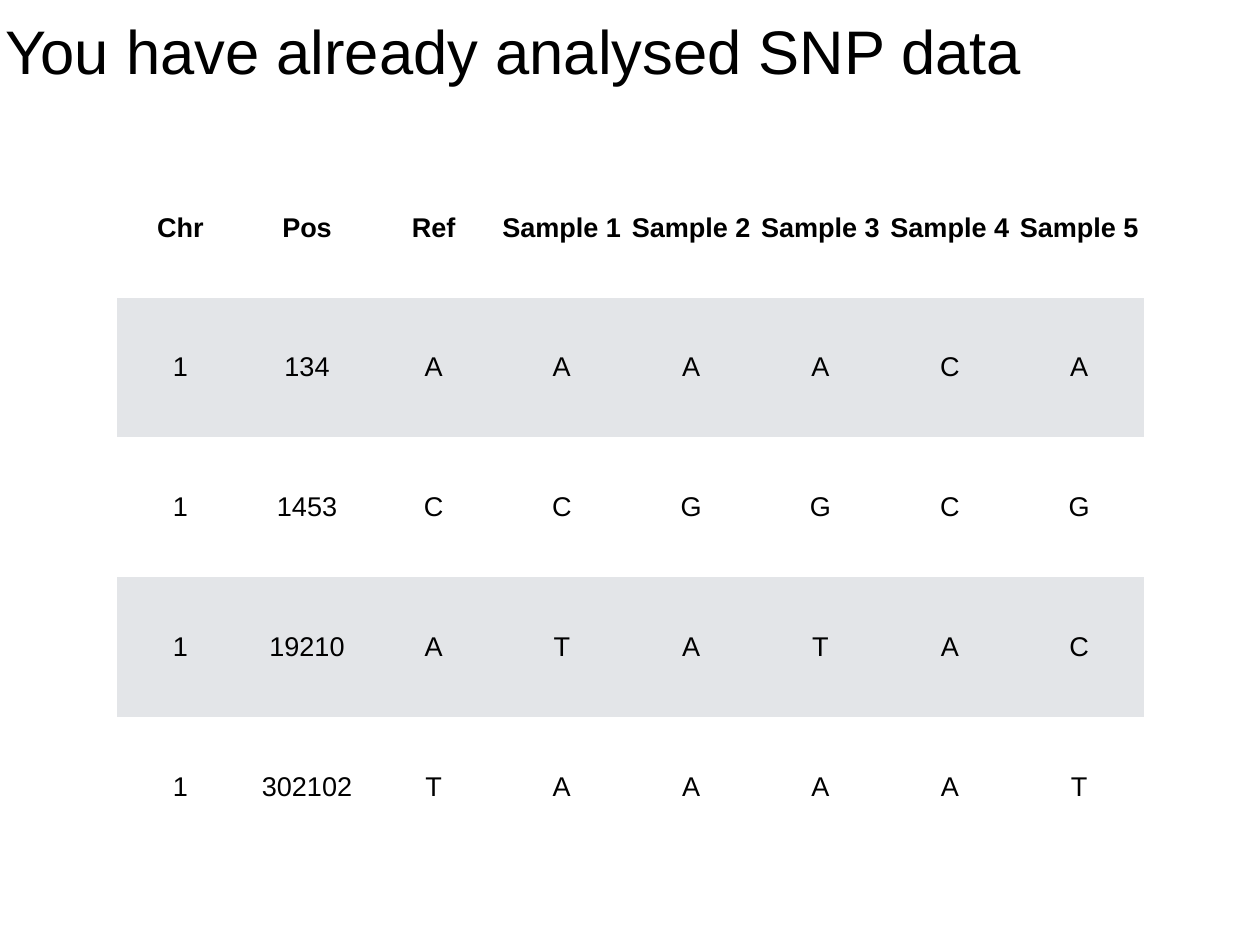
from dataclasses import dataclass

from pptx import Presentation
from pptx import util as u
from pptx.dml.color import RGBColor
from pptx.enum import text
from pptx.oxml import ns
from pptx.slide import Slide
from pptx.table import _Cell as Cell
from pptx.text.text import TextFrame

BLACK = RGBColor(0x00, 0x00, 0x00)
WHITE = RGBColor(0xFF, 0xFF, 0xFF)
GREY = RGBColor(0xE3, 0xE5, 0xE8)
PLAIN = "{2D5ABB26-0587-4C30-8999-92F81FD0307C}"
FONT = "Arial"
INSET = u.Inches(0.06)


@dataclass(frozen=True)
class Row:
    items: tuple[str, ...]
    fill: RGBColor = WHITE
    bold: bool = False


ROWS = (
    Row(("Chr", "Pos", "Ref", *(f"Sample {n}" for n in range(1, 6))), bold=True),
    Row(("1", "134", "A", "A", "A", "A", "C", "A"), GREY),
    Row(("1", "1453", "C", "C", "G", "G", "C", "G")),
    Row(("1", "19210", "A", "T", "A", "T", "A", "C"), GREY),
    Row(("1", "302102", "T", "A", "A", "A", "A", "T")),
)
WIDTHS = (1.43,) * 3 + (1.46,) * 5
HEIGHT = 1.58


def style(frame: TextFrame, size: int, bold: bool, align: text.PP_ALIGN) -> None:
    for para in frame.paragraphs:
        para.alignment = align
        for run in para.runs:
            font = run.font
            font.name, font.size, font.bold = FONT, u.Pt(size), bold
            font.color.rgb = BLACK


def inset(box: Cell | TextFrame) -> None:
    box.margin_left = box.margin_right = INSET
    box.margin_top = box.margin_bottom = INSET
    box.vertical_anchor = text.MSO_ANCHOR.MIDDLE


def add_title(slide: Slide, words: str) -> None:
    title = slide.shapes.title
    title.left, title.top = u.Inches(0), u.Inches(0)
    title.width, title.height = u.Inches(12.83), u.Inches(1.12)
    frame = title.text_frame
    frame.text = words
    frame.word_wrap = True
    frame.auto_size = text.MSO_AUTO_SIZE.NONE
    inset(frame)
    style(frame, 50, False, text.PP_ALIGN.LEFT)


def add_grid(slide: Slide) -> None:
    shape = slide.shapes.add_table(
        len(ROWS), len(WIDTHS), u.Inches(1.32), u.Inches(1.78),
        u.Inches(sum(WIDTHS)), u.Inches(HEIGHT * len(ROWS)),
    )
    for tag in shape.element.iter(ns.qn("a:tableStyleId")):
        tag.text = PLAIN
    grid = shape.table
    grid.horz_banding = False
    for col, width in zip(grid.columns, WIDTHS):
        col.width = u.Inches(width)
    for line, row in zip(grid.rows, ROWS):
        line.height = u.Inches(HEIGHT)
        for cell, item in zip(line.cells, row.items):
            cell.text_frame.text = item
            cell.fill.solid()
            cell.fill.fore_color.rgb = row.fill
            inset(cell)
            style(cell.text_frame, 22, row.bold, text.PP_ALIGN.CENTER)


def main() -> None:
    deck = Presentation()
    deck.slide_width, deck.slide_height = u.Inches(14.22), u.Inches(10.67)
    slide = deck.slides.add_slide(deck.slide_layouts[5])
    add_grid(slide)
    add_title(slide, "You have already analysed SNP data")
    deck.save("out.pptx")


if __name__ == "__main__":
    main()
